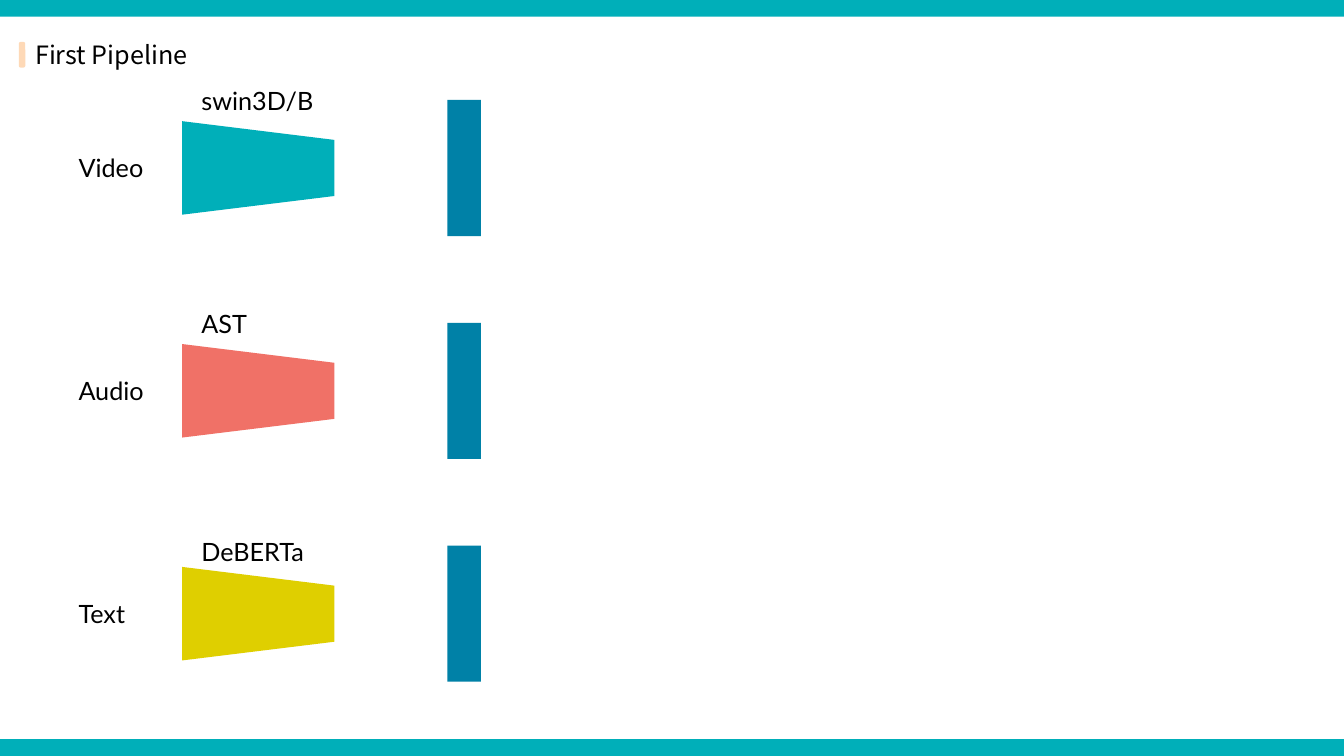
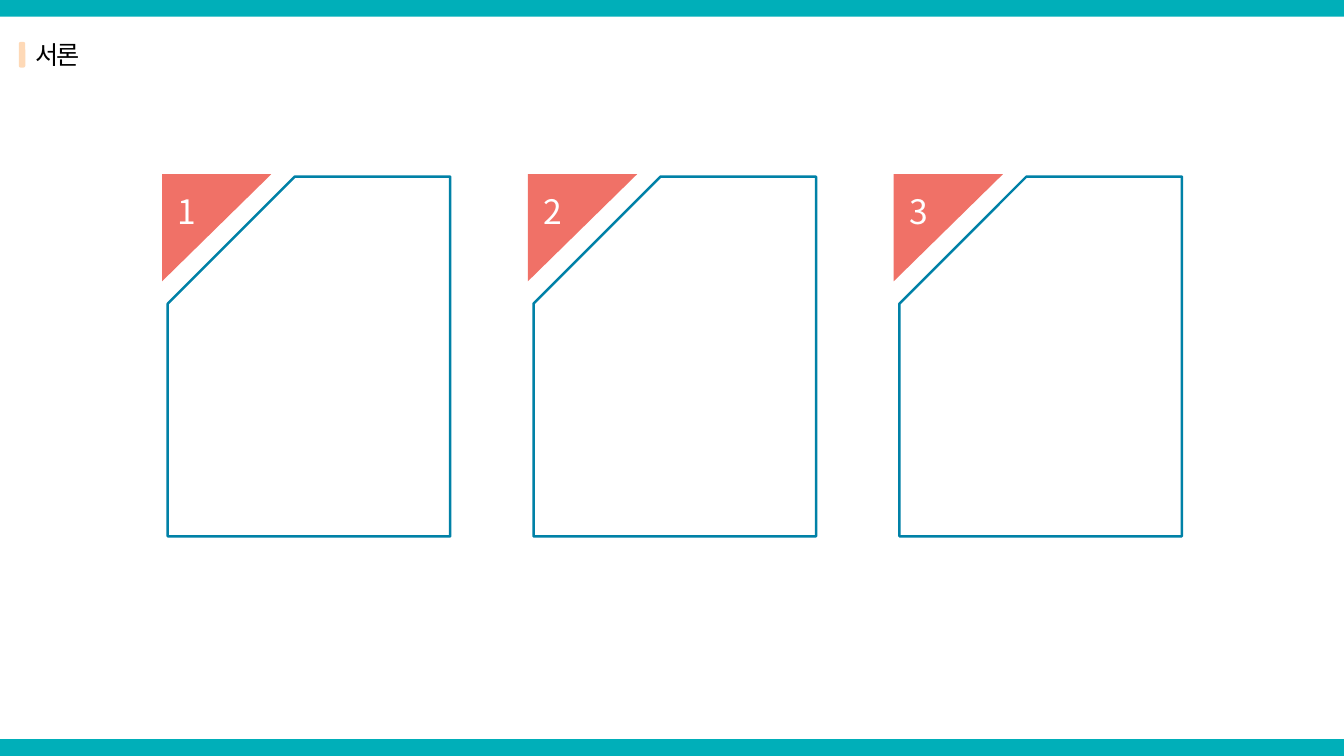
from lxml import etree
from pptx import Presentation
from pptx.dml.color import RGBColor
from pptx.enum.shapes import MSO_SHAPE as SHAPE
from pptx.enum.text import MSO_AUTO_SIZE as AUTO_SIZE
from pptx.oxml.ns import qn
from pptx.util import Pt

TEAL, PEACH, CORAL = "00AFB9", "FED9B7", "F07167"
BLUE, YELLOW = "0081A7", "DFCF00"
BLACK, WHITE = "000000", "FFFFFF"
LATO, NOTO = "Lato", "Noto Sans CJK KR"
WIDTH, HEIGHT = 960, 540
BAND_HEIGHT = 12


def add_block(shapes, kind, x, y, w, h, fill, rotation=0, adjust=None, outline=None):
    block = shapes.add_shape(kind, Pt(x), Pt(y), Pt(w), Pt(h))
    block.shadow.inherit = False
    block.rotation = rotation
    block.fill.solid()
    block.fill.fore_color.rgb = RGBColor.from_string(fill)
    if adjust is not None:
        block.adjustments[0] = adjust
    if outline:
        block.line.color.rgb = RGBColor.from_string(outline)
        block.line.width = Pt(1.75)
    else:
        block.line.fill.background()


def add_label(shapes, text, x, y, w, h=29, size=18, font=LATO, color=BLACK,
              spacing=None, wrap=True):
    frame = shapes.add_textbox(Pt(x), Pt(y), Pt(w), Pt(h)).text_frame
    frame.word_wrap = wrap
    frame.auto_size = AUTO_SIZE.SHAPE_TO_FIT_TEXT
    run = frame.paragraphs[0].add_run()
    run.text = text
    run.font.size = Pt(size)
    run.font.name = font
    run.font.color.rgb = RGBColor.from_string(color)
    # East Asian typeface and letter spacing in hundredths of a point
    properties = run.font._element
    etree.SubElement(properties, qn("a:ea")).set("typeface", font)
    if spacing is not None:
        properties.set("spc", str(int(spacing * 100)))


deck = Presentation()
deck.slide_width, deck.slide_height = Pt(WIDTH), Pt(HEIGHT)

# Bands, title marker and title on every slide
pages = []
for title, title_width, spacing in [("First Pipeline", 245.5, None), ("서론", 80.6, -1.5)]:
    shapes = deck.slides.add_slide(deck.slide_layouts[6]).shapes
    add_block(shapes, SHAPE.RECTANGLE, 0, HEIGHT - BAND_HEIGHT, WIDTH, BAND_HEIGHT, TEAL)
    add_block(shapes, SHAPE.ROUNDED_RECTANGLE, 13.5, 30, 4.6, 18.3, PEACH, adjust=0.28)
    add_block(shapes, SHAPE.RECTANGLE, 0, 0, WIDTH, BAND_HEIGHT, TEAL)
    add_label(shapes, title, 18, 24.5, title_width, font=NOTO, spacing=spacing)
    pages.append(shapes)
pipeline, introduction = pages

# Pipeline: one row per modality, with its encoder and feature bar
ROW_PITCH = 159.2
modalities = [
    ("Video", "swin3D/B", 101.5, 57.6, TEAL),
    ("Audio", "AST", 49.7, 216.8, CORAL),
    ("Text", "DeBERTa", 95.8, 379.4, YELLOW),
]
for row, (modality, encoder, encoder_width, encoder_top, color) in enumerate(modalities):
    offset = row * ROW_PITCH
    add_label(pipeline, modality, 49, 105.6 + offset, 80.6)
    add_block(pipeline, SHAPE.FLOWCHART_MANUAL_OPERATION, 151, 65.6 + offset, 66.8, 108.7,
              color, rotation=270)
    add_label(pipeline, encoder, 136.8, encoder_top, encoder_width, wrap=False)
    add_block(pipeline, SHAPE.RECTANGLE, 319.5, 71.4 + offset, 24, 97.2, BLUE)

# Introduction: three numbered cards with a cut corner
CARD_PITCH = 261.3
for index in range(3):
    offset = index * CARD_PITCH
    card = introduction.add_group_shape().shapes
    add_block(card, SHAPE.RIGHT_TRIANGLE, 116.5, 123.7, 76.5, 78, CORAL, rotation=90)
    add_block(card, SHAPE.SNIP_1_RECTANGLE, 92.2, 153.7, 257, 201.8, WHITE,
              rotation=270, adjust=0.45, outline=BLUE)
    add_label(card, str(index + 1), 119.7, 132.5, 76.5, 36, size=24, font=NOTO,
              color=WHITE, spacing=-1.5)
    group = introduction[-1]
    group.left += Pt(offset)

deck.save("out.pptx")
